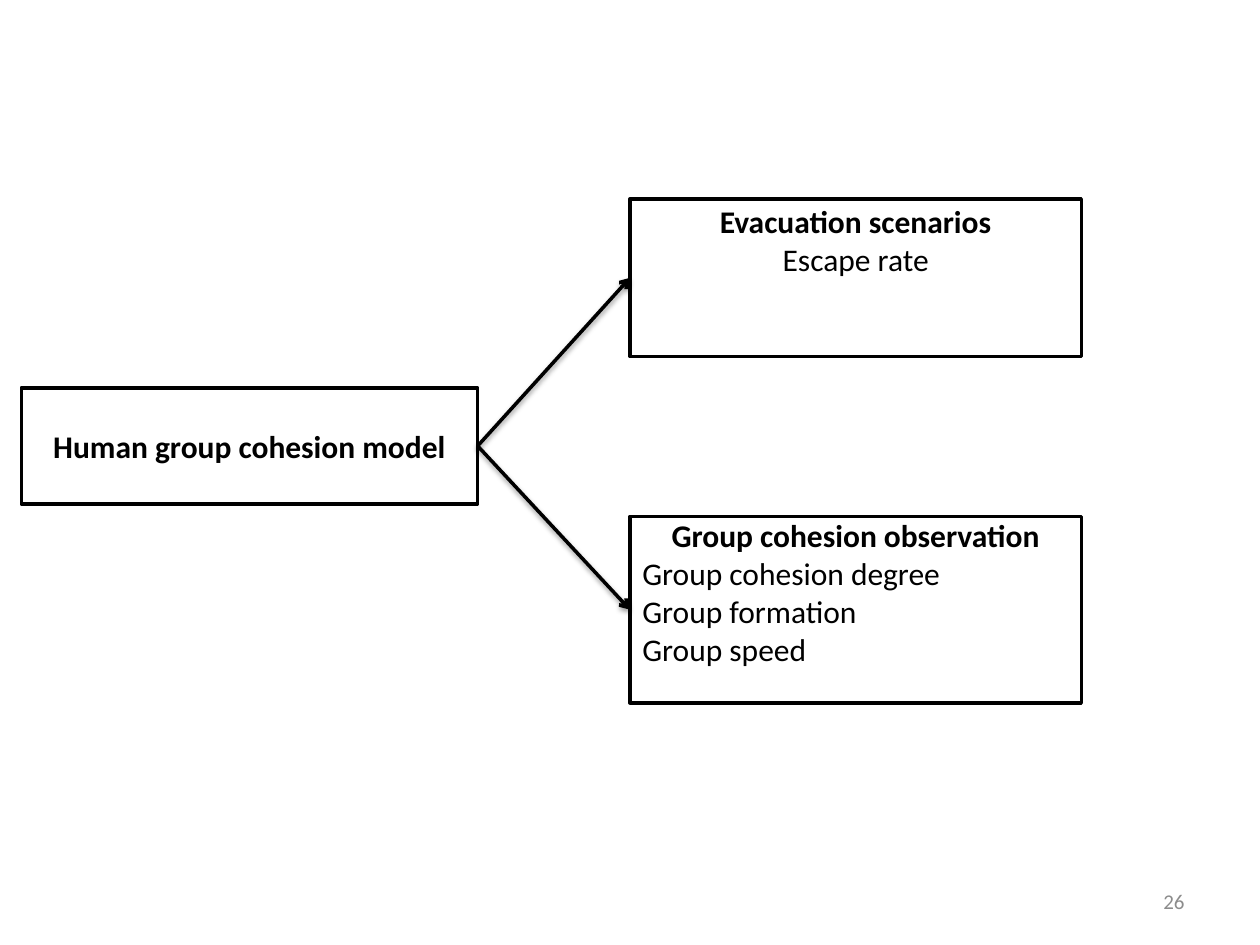
from lxml.etree import SubElement
from pptx import Presentation
from pptx.dml.color import RGBColor
from pptx.enum.shapes import MSO_CONNECTOR as Connector, MSO_SHAPE as Shape
from pptx.enum.text import MSO_ANCHOR as Anchor, PP_ALIGN as Align
from pptx.oxml.ns import qn
from pptx.util import Cm, Pt

COLORS = {"ink": "000000", "paper": "FFFFFF", "muted": "8C8C8C"}
LEFT_SIDE, RIGHT_SIDE = 1, 3


class Diagram:
    font = "Calibri"
    text_size = Pt(18)
    line_width = Pt(2)

    def __init__(self, slide):
        self.slide = slide

    def color(self, name):
        return RGBColor.from_string(COLORS[name])

    def set_text(self, paragraph, text, align, size, color, bold=False):
        paragraph.text = text
        paragraph.alignment = align
        font = paragraph.font
        font.name, font.size, font.bold = self.font, size, bold
        font.color.rgb = self.color(color)

    def box(self, left, top, width, height, heading, details=(),
            detail_align=Align.CENTER, anchor=Anchor.TOP, top_margin=0.13):
        """Outlined rectangle with a bold heading and plain lines below."""
        box = self.slide.shapes.add_shape(
            Shape.RECTANGLE, Cm(left), Cm(top), Cm(width), Cm(height))
        box.shadow.inherit = False
        box.fill.solid()
        box.fill.fore_color.rgb = self.color("paper")
        box.line.color.rgb = self.color("ink")
        box.line.width = self.line_width
        frame = box.text_frame
        frame.word_wrap = True
        frame.vertical_anchor = anchor
        frame.margin_top = Cm(top_margin)
        self.set_text(frame.paragraphs[0], heading, Align.CENTER,
                      self.text_size, "ink", bold=True)
        for detail in details:
            self.set_text(frame.add_paragraph(), detail, detail_align,
                          self.text_size, "ink")
        return box

    def arrow(self, source, target):
        """Arrow with a soft shadow, from a right side to a left side."""
        arrow = self.slide.shapes.add_connector(Connector.STRAIGHT, 0, 0, 0, 0)
        arrow.begin_connect(source, RIGHT_SIDE)
        arrow.end_connect(target, LEFT_SIDE)
        arrow.line.color.rgb = self.color("ink")
        arrow.line.width = self.line_width
        properties = arrow._element.spPr
        SubElement(properties.find(qn("a:ln")), qn("a:tailEnd"), type="arrow")
        effects = SubElement(properties, qn("a:effectLst"))
        shadow = SubElement(effects, qn("a:outerShdw"), blurRad=str(Pt(3.1)),
                            dist=str(Pt(1.6)), dir="5400000", rotWithShape="0")
        tint = SubElement(shadow, qn("a:srgbClr"), val=COLORS["ink"])
        SubElement(tint, qn("a:alpha"), val="38000")

    def page_number(self, left, top, width, height, number):
        label = self.slide.shapes.add_textbox(
            Cm(left), Cm(top), Cm(width), Cm(height))
        frame = label.text_frame
        frame.word_wrap = True
        frame.vertical_anchor = Anchor.MIDDLE
        self.set_text(frame.paragraphs[0], number, Align.RIGHT, Pt(12), "muted")


def main():
    deck = Presentation()
    deck.slide_width, deck.slide_height = Cm(25.4), Cm(19.05)
    diagram = Diagram(deck.slides.add_slide(deck.slide_layouts[6]))

    diagram.page_number(18.21, 17.65, 5.92, 1.02, "26")

    # Outcomes share a column on the right
    column_left, column_width = 12.7, 9.1
    observation = diagram.box(
        column_left, 10.41, column_width, 3.76, "Group cohesion observation",
        ["Group cohesion degree", "Group formation", "Group speed"],
        detail_align=Align.LEFT, top_margin=0)
    evacuation = diagram.box(
        column_left, 4.01, column_width, 3.18, "Evacuation scenarios",
        ["Escape rate"], top_margin=0.06)

    # Model on the left, leading to both outcomes
    model = diagram.box(0.43, 7.82, 9.2, 2.34, "Human group cohesion model",
                        anchor=Anchor.MIDDLE)
    for outcome in (evacuation, observation):
        diagram.arrow(model, outcome)

    deck.save("out.pptx")


if __name__ == "__main__":
    main()
